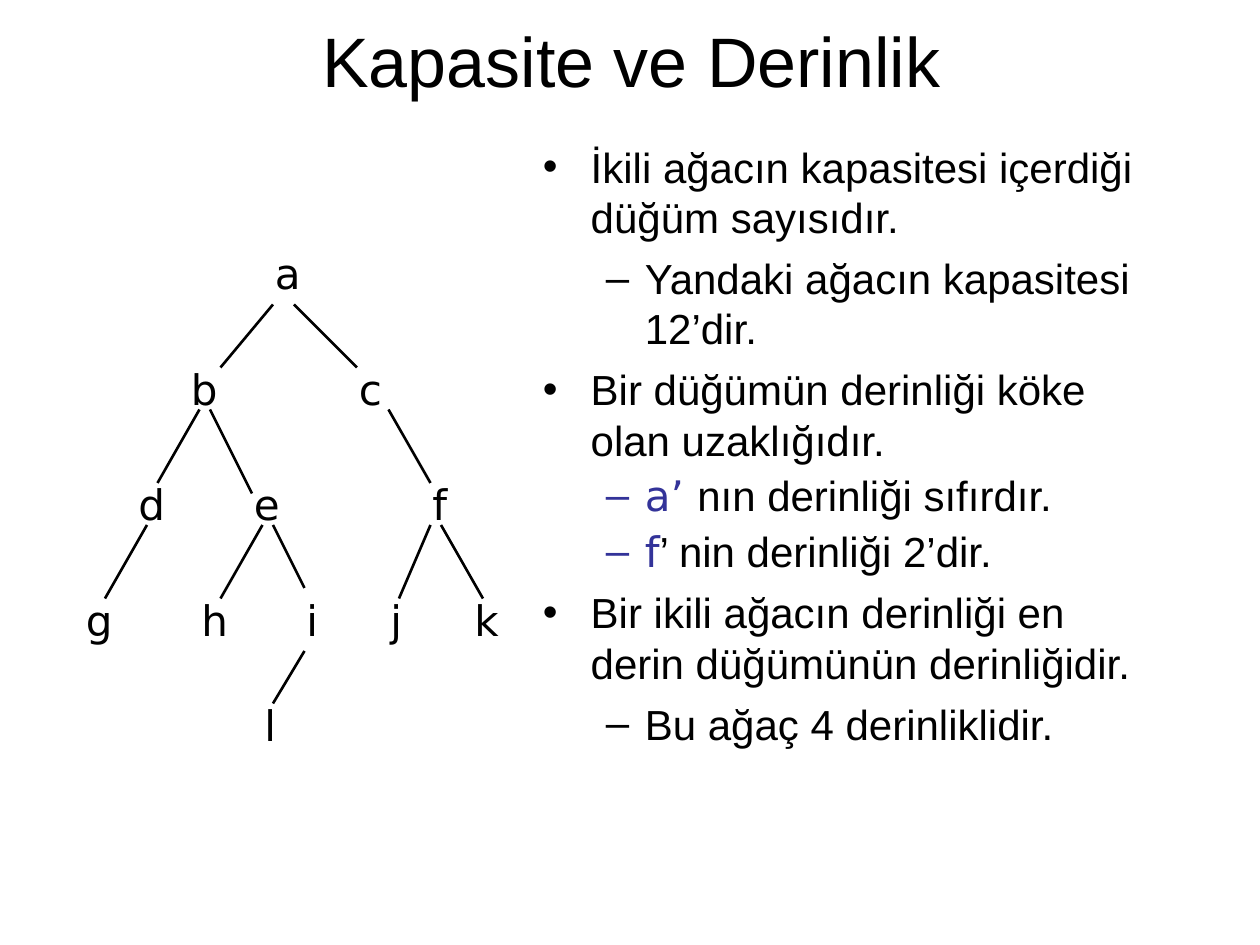
from lxml import etree
from pptx import Presentation
from pptx import util as u
from pptx.dml.color import RGBColor
from pptx.enum import shapes, text
from pptx.oxml.ns import qn

COLORS = {"ink": "000000", "accent": "333399"}
BODY_FONT, CODE_FONT = "Arial", "DejaVu Sans"

TITLE = "Kapasite ve Derinlik"

# (level, accented prefix, rest)
BULLETS = [
    (0, "", "İkili ağacın kapasitesi içerdiği düğüm sayısıdır."),
    (1, "", "Yandaki ağacın kapasitesi 12’dir."),
    (0, "", "Bir düğümün derinliği köke olan uzaklığıdır."),
    (1, "a’ ", "nın derinliği sıfırdır."),
    (1, "f", "’ nin derinliği 2’dir."),
    (0, "", "Bir ikili ağacın derinliği en derin düğümünün derinliğidir."),
    (1, "", "Bu ağaç 4 derinliklidir."),
]
# level: (bullet character, text margin, hanging indent)
LEVELS = {0: ("•", 0.38, 0.38), 1: ("–", 0.81, 0.31)}

# Tree on a grid of twelfths of an inch: top of each row, then label: column
TREE_ROWS = [
    (23, {"a": 25}),
    (34, {"b": 17, "c": 33}),
    (45, {"d": 12, "e": 23, "f": 40}),
    (56, {"g": 7, "h": 18, "i": 28, "j": 36, "k": 44}),
    (66, {"l": 24}),
]
# Branches between nodes: start and end (column, row)
BRANCHES = [
    ((26, 29), (21, 35)), ((28, 29), (34, 35)),
    ((19, 39), (15, 46)), ((20, 39), (24, 47)), ((37, 39), (41, 46)),
    ((14, 50), (10, 57)), ((25, 50), (21, 57)), ((26, 50), (29, 56)),
    ((41, 50), (38, 57)), ((42, 50), (46, 57)),
    ((29, 62), (26, 67)),
]


def grid(n):
    return u.Inches(n / 12)


def format_run(r, size, font=BODY_FONT, color="ink"):
    r.font.size = u.Pt(size)
    r.font.name = font
    r.font.color.rgb = RGBColor.from_string(COLORS[color])


def add_bullet(p, level, color):
    char, margin, hanging = LEVELS[level]
    pPr = p._p.get_or_add_pPr()
    pPr.set("marL", str(u.Inches(margin)))
    pPr.set("indent", str(-u.Inches(hanging)))
    clr = etree.SubElement(pPr, qn("a:buClr"))
    etree.SubElement(clr, qn("a:srgbClr"), val=COLORS[color])
    etree.SubElement(pPr, qn("a:buFont"), typeface=BODY_FONT)
    etree.SubElement(pPr, qn("a:buChar"), char=char)


prs = Presentation()
prs.slide_width, prs.slide_height = u.Inches(10), u.Inches(7.5)
s = prs.slides.add_slide(prs.slide_layouts[5])

# Title
title = s.shapes.title
title.left, title.top = u.Inches(0.51), u.Inches(0.13)
title.width, title.height = u.Inches(9), u.Inches(0.69)
tf = title.text_frame
tf.text = TITLE
tf.vertical_anchor = text.MSO_ANCHOR.MIDDLE
tf.paragraphs[0].alignment = text.PP_ALIGN.CENTER
format_run(tf.paragraphs[0].runs[0], 40)

# Bullet list
body = s.shapes.add_textbox(u.Inches(4.21), u.Inches(1.07),
                            u.Inches(5.12), u.Inches(4.95))
tf = body.text_frame
tf.word_wrap = True
for i, (level, prefix, rest) in enumerate(BULLETS):
    p = tf.paragraphs[0] if i == 0 else tf.add_paragraph()
    p.level = level
    add_bullet(p, level, "accent" if prefix else "ink")
    if i:
        p.space_before = u.Pt(6)
    if prefix:
        p.line_spacing = 0.9
        r = p.add_run()
        r.text = prefix
        format_run(r, 24, CODE_FONT, "accent")
    r = p.add_run()
    r.text = rest
    format_run(r, 24)

# Tree nodes
for top, nodes in TREE_ROWS:
    for label, col in nodes.items():
        node = s.shapes.add_textbox(grid(col), grid(top), grid(5), grid(6))
        tf = node.text_frame
        tf.word_wrap = True
        tf.text = label
        format_run(tf.paragraphs[0].runs[0], 24, CODE_FONT)

# Tree branches
for start, end in BRANCHES:
    line = s.shapes.add_connector(shapes.MSO_CONNECTOR.STRAIGHT,
                                  *map(grid, start + end))
    line.line.width = u.Pt(1.5)
    line.line.color.rgb = RGBColor.from_string(COLORS["ink"])
    etree.SubElement(line._element.spPr, qn("a:effectLst"))

prs.save("out.pptx")
